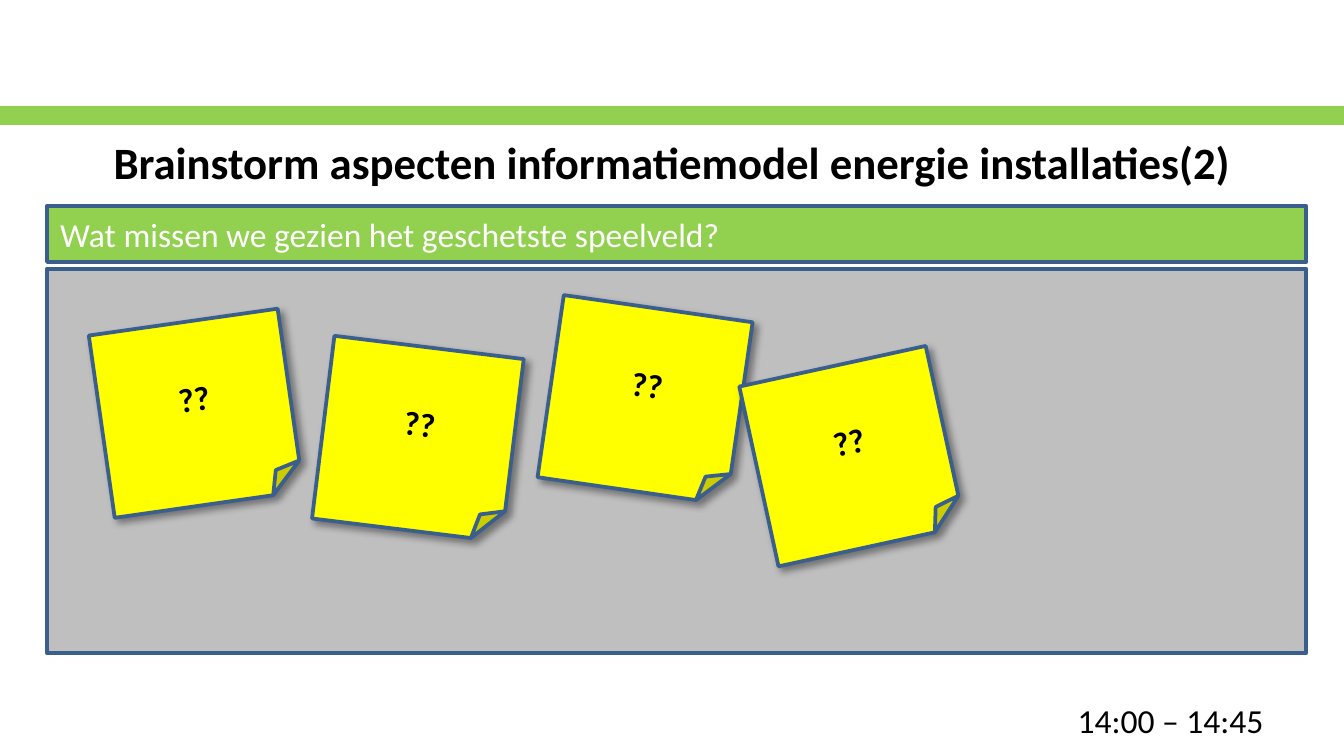
from lxml import etree
from pptx import Presentation
from pptx.dml.color import RGBColor
from pptx.enum.shapes import MSO_SHAPE as Shape
from pptx.enum.text import MSO_ANCHOR as Anchor, PP_ALIGN as Align
from pptx.oxml.ns import qn
from pptx.util import Pt

GREEN, GREY, YELLOW, BLUE = "92D050", "BFBFBF", "FFFF00", "3A5F8C"
BLACK, WHITE = "000000", "FFFFFF"
NOTE_WIDTH, NOTE_HEIGHT = 102.2, 98.6
# left and top relative to the board, rotation in degrees
NOTES = [(28.8, 28.1, -8.1), (147.6, 41.8, 7), (269.3, 20.9, 8.2), (380.2, 51.1, -12.3)]


def color(hex_code):
    return RGBColor.from_string(hex_code)


def write(shape, text, text_color=BLACK, align=Align.LEFT, anchor=Anchor.MIDDLE, **font_format):
    frame = shape.text_frame
    frame.text = text
    frame.vertical_anchor = anchor
    paragraph = frame.paragraphs[0]
    paragraph.alignment = align
    font = paragraph.runs[0].font
    for name, value in {"name": "Calibri", "size": Pt(18), "bold": False, **font_format}.items():
        setattr(font, name, value)
    font.color.rgb = color(text_color)


def add_panel(slide, box, fill, line=BLUE, preset=Shape.RECTANGLE):
    panel = slide.shapes.add_shape(preset, *map(Pt, box))
    panel.shadow.inherit = False
    panel.fill.solid()
    panel.fill.fore_color.rgb = color(fill)
    panel.line.color.rgb = color(line)
    panel.line.width = Pt(2)
    return panel


def add_drop_shadow(shape):
    effects = shape._element.spPr.find(qn("a:effectLst"))
    shadow = etree.SubElement(effects, qn("a:outerShdw"), blurRad=str(Pt(4)), dist=str(Pt(3)),
                              dir=str(45 * 60000), algn="tl", rotWithShape="0")
    shade = etree.SubElement(shadow, qn("a:srgbClr"), val=BLACK)
    etree.SubElement(shade, qn("a:alpha"), val="40000")


def add_title(slide, box, text):
    title = slide.shapes.title
    title.left, title.top, title.width, title.height = map(Pt, box)
    title.text_frame.word_wrap = True
    write(title, text, align=Align.CENTER, size=Pt(24), bold=True)


def add_board(slide, box):
    """Draw the grey board with its sticky notes."""
    left, top = box[:2]
    add_panel(slide, box, GREY)
    for note_left, note_top, rotation in NOTES:
        note_box = (left + note_left, top + note_top, NOTE_WIDTH, NOTE_HEIGHT)
        note = add_panel(slide, note_box, YELLOW, preset=Shape.FOLDED_CORNER)
        note.rotation = rotation
        add_drop_shadow(note)
        write(note, "??", align=Align.CENTER, bold=True)


def add_time(slide, box, text):
    time = slide.shapes.add_textbox(*map(Pt, box))
    time.text_frame.word_wrap = False
    write(time, text, anchor=Anchor.TOP)


def main():
    presentation = Presentation()
    presentation.slide_width, presentation.slide_height = Pt(720), Pt(405)
    slide = presentation.slides.add_slide(presentation.slide_layouts[5])

    add_panel(slide, (0, 57.6, 720, 8.6), GREEN, line=GREEN)
    add_title(slide, (36, 67, 648, 38.9),
              "Brainstorm aspecten informatiemodel energie installaties(2)")
    add_board(slide, (25.2, 144, 674.6, 205.9))
    add_time(slide, (570.2, 371.5, 115.2, 28.8), "14:00 – 14:45")
    question = add_panel(slide, (25.2, 110.2, 674.6, 30.2), GREEN)
    write(question, "Wat missen we gezien het geschetste speelveld?", WHITE)

    presentation.save("out.pptx")


if __name__ == "__main__":
    main()
